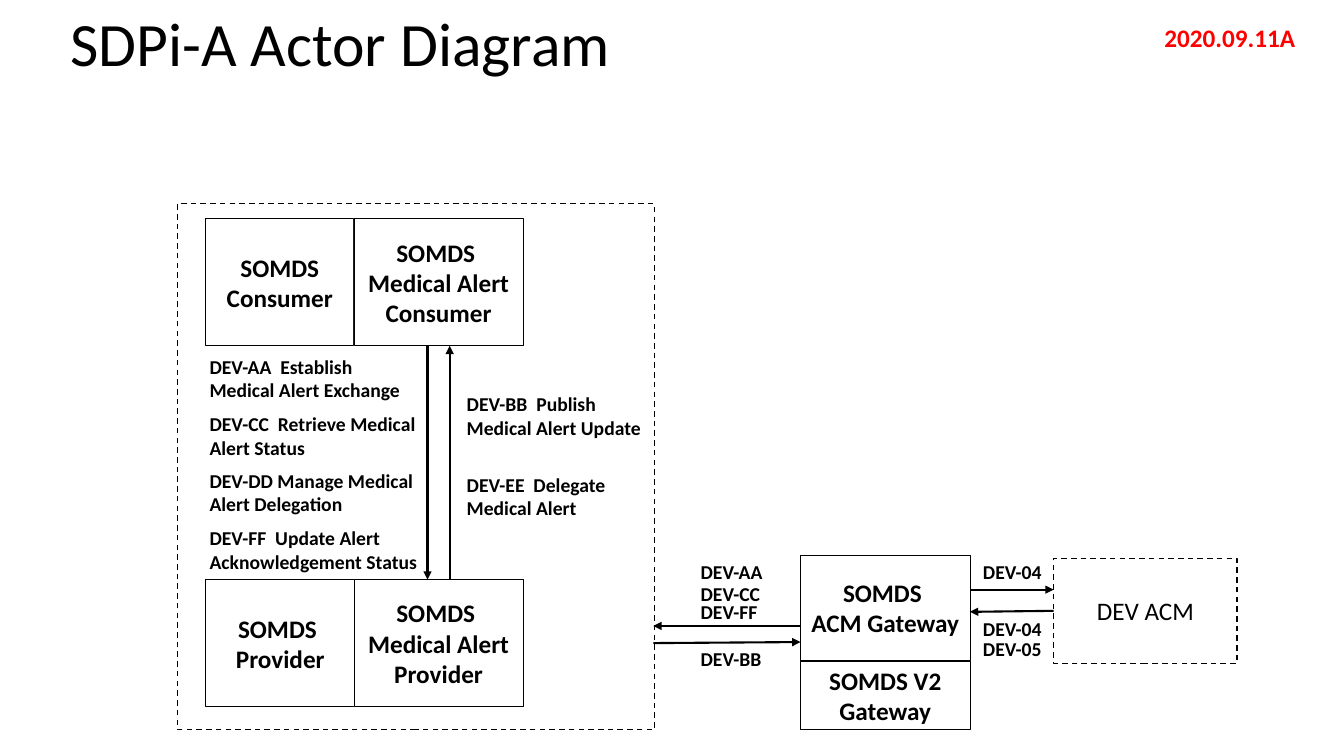
from pptx import Presentation
from pptx.dml.color import RGBColor
from pptx.enum.dml import MSO_LINE
from pptx.enum.shapes import MSO_CONNECTOR, MSO_SHAPE
from pptx.enum.text import MSO_ANCHOR, PP_ALIGN
from pptx.oxml.ns import qn
from pptx.util import Inches, Pt
from lxml import etree

RECT = MSO_SHAPE.RECTANGLE
LINE = MSO_CONNECTOR.STRAIGHT
DASH = MSO_LINE.DASH
MID = MSO_ANCHOR.MIDDLE
LEFT, MIDDLE = PP_ALIGN.LEFT, PP_ALIGN.CENTER
COLOR = {"ink": "000000", "paper": "FFFFFF", "date": "FF0000"}

deck = Presentation()
deck.slide_width, deck.slide_height = Inches(13.33), Inches(7.5)
slide = deck.slides.add_slide(deck.slide_layouts[6])
shapes = slide.shapes


def write(shape, text, size, bold=True, align=LEFT, color="ink"):
    frame = shape.text_frame
    frame.word_wrap = True
    frame.text = text
    for para in frame.paragraphs:
        para.alignment = align
        para.font.name = "Calibri"
        para.font.size = Pt(size)
        para.font.bold = bold
        para.font.color.rgb = RGBColor.from_string(COLOR[color])
    return frame


def arrow(x1, y1, x2, y2):
    link = shapes.add_connector(LINE, Inches(x1), Inches(y1), Inches(x2), Inches(y2))
    link.line.color.rgb = RGBColor.from_string(COLOR["ink"])
    link.line.width = Pt(1.5)
    etree.SubElement(link.line._get_or_add_ln(), qn("a:tailEnd"), type="triangle")
    etree.SubElement(link._element.spPr, qn("a:effectLst"))
    return link


title = shapes.add_textbox(Inches(0.6), Inches(0.04), Inches(11.5), Inches(0.84))
frame = write(title, "SDPi-A Actor Diagram", 44, False)
frame.vertical_anchor = MID
frame.paragraphs[0].line_spacing = 0.9

date = shapes.add_textbox(Inches(11.45), Inches(0.17), Inches(1.61), Inches(0.4))
write(date, "2020.09.11A", 18, color="date")

labels = [
    (1.98, 3.47, 2.26, 0.57, "DEV-AA  Establish Medical Alert Exchange"),
    (1.98, 4.04, 2.26, 0.57, "DEV-CC  Retrieve Medical Alert Status"),
    (1.98, 4.6, 2.26, 0.57, "DEV-DD Manage Medical Alert Delegation"),
    (1.98, 5.17, 2.41, 0.57, "DEV-FF  Update Alert Acknowledgement Status"),
    (4.53, 3.84, 1.95, 0.57, "DEV-BB  Publish Medical Alert Update"),
    (4.53, 4.64, 1.95, 0.57, "DEV-EE  Delegate Medical Alert"),
    (6.85, 5.51, 1.32, 0.34, "DEV-AA"),
    (6.85, 5.72, 1.32, 0.34, "DEV-CC"),
    (6.85, 5.9, 1.32, 0.34, "DEV-FF"),
    (6.85, 6.37, 1.32, 0.34, "DEV-BB"),
    (9.65, 5.51, 0.92, 0.34, "DEV-04"),
    (9.65, 6.07, 0.92, 0.34, "DEV-04"),
    (9.65, 6.27, 0.92, 0.34, "DEV-05"),
]
for x, y, w, h, text in labels:
    label = shapes.add_textbox(Inches(x), Inches(y), Inches(w), Inches(h))
    write(label, text, 14)

for ends in [
    (4.24, 3.43, 4.24, 5.75),
    (4.46, 5.74, 4.46, 3.43),
    (8.18, 6.21, 6.48, 6.21),
    (6.48, 6.38, 7.94, 6.37),
    (9.62, 5.85, 10.45, 5.85),
]:
    arrow(*ends)

actors = [
    (2.04, 2.17, 1.47, 1.26, "SOMDS Consumer"),
    (3.51, 2.17, 1.68, 1.26, "SOMDS \nMedical Alert Consumer"),
    (2.04, 5.75, 1.48, 1.26, "SOMDS \nProvider"),
    (3.51, 5.75, 1.68, 1.26, "SOMDS \nMedical Alert Provider"),
    (7.94, 5.51, 1.68, 1.04, "SOMDS \nACM Gateway"),
    (7.94, 6.56, 1.68, 0.68, "SOMDS V2 Gateway"),
    (1.76, 2.02, 4.73, 5.22, ""),
    (10.45, 5.54, 1.82, 1.04, "DEV ACM"),
]
for x, y, w, h, text in actors:
    solid = text.startswith("SOMDS")
    box = shapes.add_shape(RECT, Inches(x), Inches(y), Inches(w), Inches(h))
    box.shadow.inherit = False
    box.line.color.rgb = RGBColor.from_string(COLOR["ink"])
    if solid:
        box.fill.solid()
        box.fill.fore_color.rgb = RGBColor.from_string(COLOR["paper"])
        box.line.width = Pt(0.5)
    else:
        box.fill.background()
        box.line.width = Pt(1)
        box.line.dash_style = DASH
    if text:
        write(box, text, 18, solid, MIDDLE).vertical_anchor = MID

reply = arrow(10.45, 6.06, 9.62, 6.07)
reply.begin_connect(box, 1)

deck.save("out.pptx")
